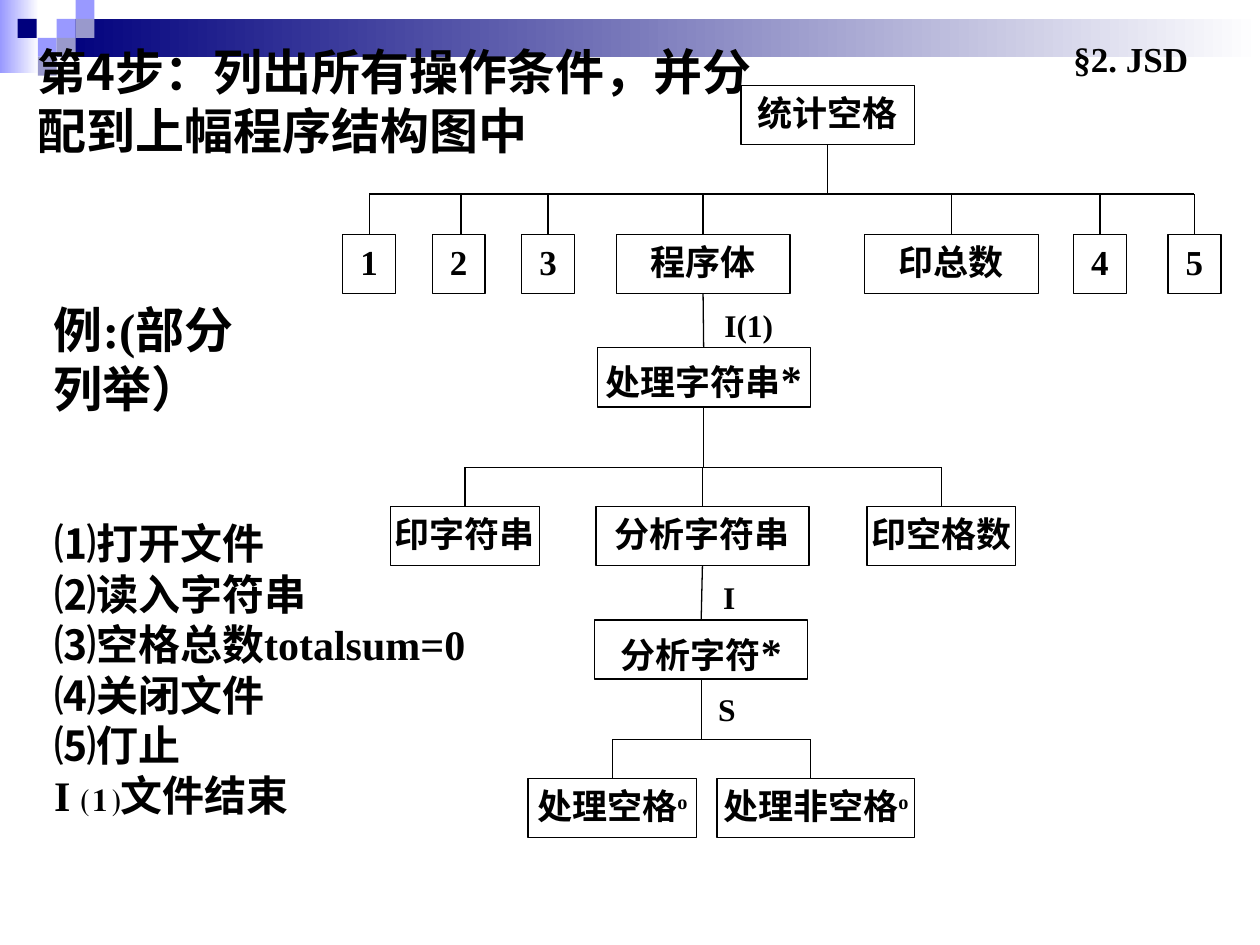
from lxml import etree
from pptx import Presentation
from pptx.dml.color import RGBColor
from pptx.enum.shapes import MSO_CONNECTOR, MSO_SHAPE
from pptx.enum.text import MSO_ANCHOR, MSO_AUTO_SIZE, PP_ALIGN
from pptx.oxml.ns import qn
from pptx.util import Inches, Pt

RECTANGLE = MSO_SHAPE.RECTANGLE
STRAIGHT = MSO_CONNECTOR.STRAIGHT
LEFT, CENTER = PP_ALIGN.LEFT, PP_ALIGN.CENTER
TOP = MSO_ANCHOR.TOP
FIXED = MSO_AUTO_SIZE.NONE
SITE_TOP, SITE_BOTTOM = 0, 2

COLORS = {"ink": "000000", "navy": "00007D", "violet": "9999FF",
          "lilac": "9999CC", "white": "FFFFFF"}
SERIF, SANS = "Times New Roman", "Noto Sans CJK SC"

# The grid has 100 columns and 75 rows on a 10 x 7.5 inch slide
COLUMNS, ROWS = 100, 75
CELL = Inches(10) // COLUMNS
BOX_ROWS = 4.7


def cells(*counts):
    return [round(count * CELL) for count in counts]


def color(name):
    return RGBColor.from_string(COLORS[name])


class Page:
    """Style and drawing methods for the current slide."""

    def __init__(self, deck):
        self.slide = deck.slides.add_slide(deck.slide_layouts[1])
        self.shapes = self.slide.shapes

    def set_text(self, frame, lines, size, font=SERIF, align=LEFT, spacing=None):
        frame.word_wrap = True
        frame.auto_size = FIXED
        frame.vertical_anchor = TOP
        for number, line in enumerate(lines):
            para = frame.add_paragraph() if number else frame.paragraphs[0]
            para.add_run().text = line
            para.alignment = align
            para.space_before = Pt(0)
            if spacing:
                para.line_spacing = Pt(size * spacing)
            properties = para._p.get_or_add_pPr()
            properties.set("marL", "0")
            properties.set("indent", "0")
            etree.SubElement(properties, qn("a:buNone"))
            para.font.size = Pt(size)
            para.font.bold = True
            para.font.name = font
            para.font.color.rgb = color("ink")
            east_asian = etree.SubElement(properties.find(qn("a:defRPr")), qn("a:ea"))
            east_asian.set("typeface", SANS)

    def placeholder(self, holder, area, lines, size, font=SERIF):
        holder.left, holder.top, holder.width, holder.height = cells(*area)
        self.shapes._spTree.append(holder._element)  # bring to front
        self.set_text(holder.text_frame, lines, size, font, spacing=1.2)

    def label(self, area, text, size, spacing=None):
        box = self.shapes.add_textbox(*cells(*area))
        self.set_text(box.text_frame, [text], size, spacing=spacing)

    def tile(self, area, start, end=None):
        shape = self.shapes.add_shape(RECTANGLE, *cells(*area))
        shape.shadow.inherit = False
        shape.line.fill.background()
        if end is None:
            shape.fill.solid()
            shape.fill.fore_color.rgb = color(start)
            return
        shape.fill.gradient()
        shape.fill.gradient_angle = 0
        for stop, name, position in zip(shape.fill.gradient_stops, (start, end), (0, 1)):
            stop.color.rgb = color(name)
            stop.position = position

    def box(self, left, top, width, text, mark=""):
        shape = self.shapes.add_shape(RECTANGLE, *cells(left, top, width, BOX_ROWS))
        shape.shadow.inherit = False
        shape.fill.background()
        shape.line.color.rgb = color("ink")
        shape.line.width = Pt(0.75)
        frame = shape.text_frame
        frame.margin_left = frame.margin_right = Inches(0.02)
        frame.margin_top, frame.margin_bottom = Inches(0.05), Inches(0.01)
        self.set_text(frame, [text], 20, align=CENTER)
        if mark:
            span = frame.paragraphs[0].add_run()
            span.text = mark
            if mark == "*":
                span.font.size = Pt(24)
            else:
                span._r.get_or_add_rPr().set("baseline", "30000")
        return shape

    def line(self, x1, y1, x2, y2, above=None, below=None):
        connector = self.shapes.add_connector(STRAIGHT, x1, y1, x2, y2)
        connector.line.color.rgb = color("ink")
        connector.line.width = Pt(0.75)
        etree.SubElement(connector._element.spPr, qn("a:effectLst"))
        if above is not None:
            connector.begin_connect(above, SITE_BOTTOM)
        if below is not None:
            connector.end_connect(below, SITE_TOP)

    def link(self, above, below):
        self.line(0, 0, 0, 0, above, below)

    def branch(self, parent, bus_row, children, offsets=None):
        """Trunk from the parent to a bus, then one drop to each child."""
        bus = cells(bus_row)[0]
        middle = parent.left + parent.width // 2
        self.line(middle, parent.top + parent.height, middle, bus, above=parent)
        drops = []
        for child, offset in zip(children, offsets or [0] * len(children)):
            x = child.left + child.width // 2 + cells(offset)[0]
            self.line(x, bus, x, child.top, below=None if offset else child)
            drops.append(x)
        self.line(drops[0], bus, drops[-1], bus)


def main():
    deck = Presentation()
    deck.slide_width, deck.slide_height = cells(COLUMNS, ROWS)
    page = Page(deck)

    # Corner decoration
    page.tile((0, 0, 3.1, 5.8), "violet", "white")
    page.tile((4.5, 1.5, 95.5, 3), "navy", "white")
    for left, top, name in [(4.5, 1.5, "violet"), (6, 0, "violet"), (6, 1.5, "lilac"),
                            (3, 3, "violet"), (1.4, 1.5, "navy"), (4.5, 3, "lilac"),
                            (3, 4.5, "lilac")]:
        page.tile((left, top, 1.5, 1.5), name)

    # Title, section label and list of operations
    title, body = page.slide.placeholders
    page.placeholder(title, (2, 2.8, 59.3, 10.4),
                     ["第4步：列出所有操作条件，并分配到上幅程序结构图中"], 28, SANS)
    page.label((84.2, 2.5, 15.8, 4.4), "§2. JSD", 20)
    page.label((3.3, 23.3, 18.3, 10.4), "例:(部分列举）", 28, spacing=1.2)
    page.placeholder(body, (3.3, 40.6, 35.8, 25),
                     ["⑴打开文件", "⑵读入字符串", "⑶空格总数totalsum=0",
                      "⑷关闭文件", "⑸仃止", "I ⑴文件结束"], 24)

    # Boxes of the program structure, level by level
    root = page.box(58.8, 6.8, 13.8, "统计空格")
    steps = [page.box(left, 18.6, width, text) for left, width, text in [
        (27.2, 4.2, "1"), (34.3, 4.2, "2"), (41.4, 4.2, "3"), (48.9, 13.8, "程序体"),
        (68.6, 13.8, "印总数"), (85.2, 4.2, "4"), (92.7, 4.2, "5")]]
    each_string = page.box(47.4, 27.6, 16.9, "处理字符串", "*")
    parts = [page.box(left, 40.2, width, text) for left, width, text in [
        (31, 11.8, "印字符串"), (47.3, 16.9, "分析字符串"), (68.8, 11.8, "印空格数")]]
    each_character = page.box(47.2, 49.2, 16.9, "分析字符", "*")
    choices = [page.box(left, 61.8, width, text, "o") for left, width, text in [
        (41.9, 13.4, "处理空格"), (56.9, 15.7, "处理非空格")]]

    # Lines between the levels
    page.branch(root, 15.4, steps, (0, 0.2, 0, 0, 0, 0, 0))
    page.link(steps[3], each_string)
    page.branch(each_string, 37.1, parts)
    page.link(parts[1], each_character)
    page.branch(each_character, 58.7, choices, (0, -0.4))

    # Conditions beside the lines
    for left, top, width, text in [(56.5, 23.8, 7, "I(1)"), (56.4, 45.4, 5, "I"),
                                   (56, 54.3, 4.2, "S")]:
        page.label((left, top, width, 4), text, 18)

    deck.save("out.pptx")


if __name__ == "__main__":
    main()
